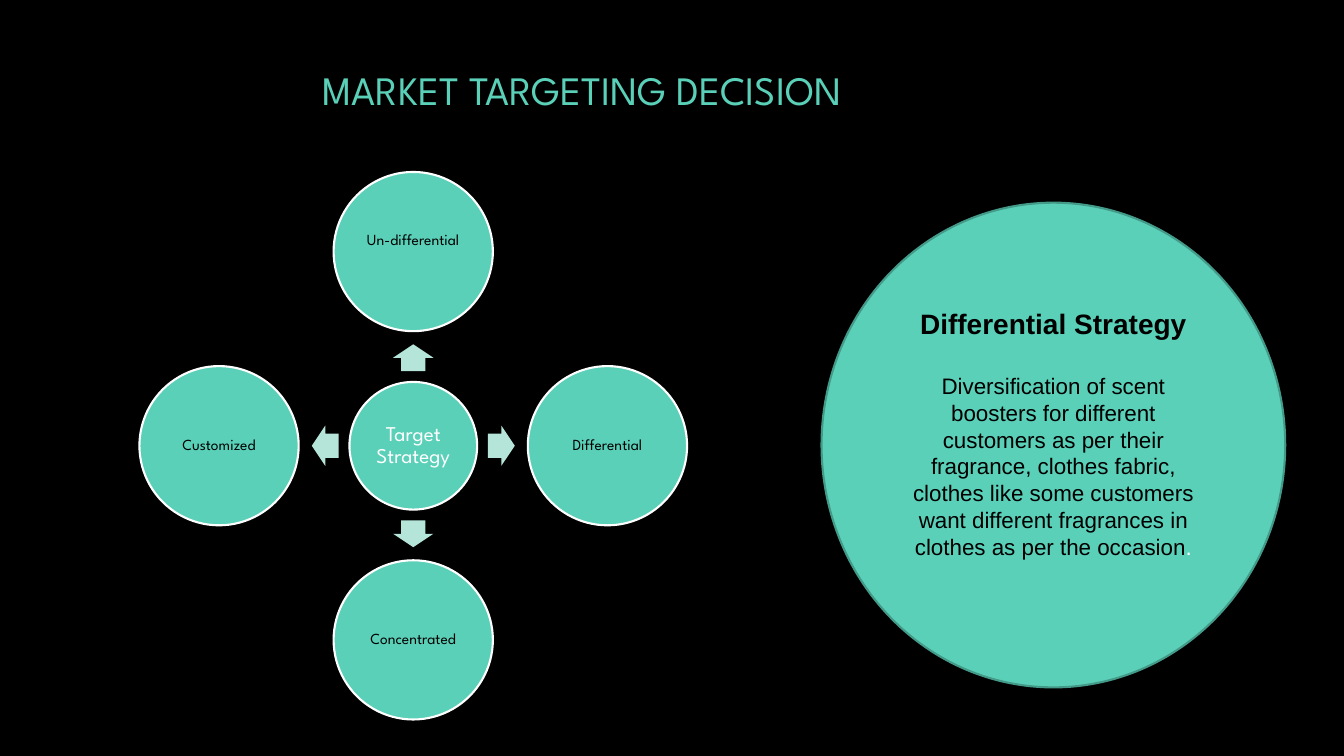
import math
from dataclasses import dataclass

import pptx
import pptx.util
from pptx.dml.color import RGBColor
from pptx.enum.shapes import MSO_SHAPE
from pptx.enum.text import MSO_ANCHOR, PP_ALIGN
from pptx.shapes.autoshape import Shape
from pptx.slide import Slide
from pptx.text.text import TextFrame

BLACK = RGBColor(0x00, 0x00, 0x00)
WHITE = RGBColor(0xFF, 0xFF, 0xFF)
TEAL = RGBColor(0x5A, 0xD0, 0xB8)
DARK_TEAL = RGBColor(0x43, 0x9A, 0x88)
PALE_TEAL = RGBColor(0xB5, 0xE4, 0xD8)

DISPLAY_FONT = "League Spartan"
BODY_FONT = "Arial"

# The slide is a grid of 40 columns with square cells; lengths below are in cells
SLIDE_WIDTH = pptx.util.Inches(13.33)
SLIDE_HEIGHT = pptx.util.Inches(7.5)
COLUMNS = 40
CELL = SLIDE_WIDTH / COLUMNS

HUB_X, HUB_Y = 12.3, 13.27
HUB_SIZE = 3.8
OPTION_SIZE = 4.74
OPTION_DISTANCE = 5.78
ARROW_WIDTH, ARROW_HEIGHT = 0.8, 1.2
ARROW_DISTANCE = 2.62


@dataclass
class Option:
    """A strategy around the hub, in the direction (step_x, step_y)."""
    name: str
    step_x: int
    step_y: int
    lift: float = 0.0


OPTIONS = [
    Option("Un-differential", 0, -1, lift=0.66),
    Option("Differential", 1, 0),
    Option("Concentrated", 0, 1),
    Option("Customized", -1, 0),
]


def cells(count: float) -> int:
    return round(count * CELL)


def set_frame(frame: TextFrame, inset: float, bottom: float) -> None:
    frame.word_wrap = True
    frame.vertical_anchor = MSO_ANCHOR.MIDDLE
    frame.margin_left = frame.margin_right = frame.margin_top = cells(inset)
    frame.margin_bottom = cells(bottom)


def add_text(frame: TextFrame, text: str, *, size: float, color: RGBColor,
             font: str = DISPLAY_FONT, bold: bool = False,
             align: PP_ALIGN = PP_ALIGN.CENTER, line_spacing: float = 1.0,
             space_before: float = 0, same_paragraph: bool = False) -> None:
    """Write text in the empty first paragraph, a new one, or the last one."""
    paragraph = frame.paragraphs[-1]
    if paragraph.runs and not same_paragraph:
        paragraph = frame.add_paragraph()
    if not same_paragraph:
        paragraph.alignment = align
        paragraph.line_spacing = line_spacing
        if space_before:
            paragraph.space_before = pptx.util.Pt(space_before)
    run = paragraph.add_run()
    run.text = text
    run.font.name = font
    run.font.size = pptx.util.Pt(size)
    run.font.bold = bold
    run.font.color.rgb = color


def add_centred_shape(slide: Slide, kind: MSO_SHAPE, x: float, y: float,
                      width: float, height: float, fill: RGBColor,
                      line: RGBColor | None = None) -> Shape:
    shape = slide.shapes.add_shape(kind, cells(x - width / 2), cells(y - height / 2),
                                   cells(width), cells(height))
    shape.shadow.inherit = False
    shape.fill.solid()
    shape.fill.fore_color.rgb = fill
    if line is None:
        shape.line.fill.background()
    else:
        shape.line.color.rgb = line
        shape.line.width = pptx.util.Pt(1.5)
    return shape


def add_labelled_circle(slide: Slide, x: float, y: float, diameter: float, label: str,
                        size: float, color: RGBColor, lift: float = 0.0) -> None:
    circle = add_centred_shape(slide, MSO_SHAPE.OVAL, x, y, diameter, diameter, TEAL, WHITE)
    set_frame(circle.text_frame, 0.06, 0.06 + lift)
    add_text(circle.text_frame, label, size=size, color=color, line_spacing=0.9)


def add_option(slide: Slide, option: Option) -> None:
    arrow = add_centred_shape(slide, MSO_SHAPE.RIGHT_ARROW,
                              HUB_X + option.step_x * ARROW_DISTANCE,
                              HUB_Y + option.step_y * ARROW_DISTANCE,
                              ARROW_WIDTH, ARROW_HEIGHT, PALE_TEAL)
    arrow.adjustments[0] = 0.6
    arrow.adjustments[1] = 0.5
    arrow.rotation = math.degrees(math.atan2(option.step_y, option.step_x)) % 360
    add_labelled_circle(slide, HUB_X + option.step_x * OPTION_DISTANCE,
                        HUB_Y + option.step_y * OPTION_DISTANCE,
                        OPTION_SIZE, option.name, 11, BLACK, option.lift)


def main() -> None:
    presentation = pptx.Presentation()
    presentation.slide_width = SLIDE_WIDTH
    presentation.slide_height = SLIDE_HEIGHT
    slide = presentation.slides.add_slide(presentation.slide_layouts[6])
    slide.background.fill.solid()
    slide.background.fill.fore_color.rgb = BLACK

    # Title
    title = slide.shapes.add_textbox(cells(9.3), cells(1.08), cells(18.57), cells(3))
    set_frame(title.text_frame, 0.3, 0.15)
    add_text(title.text_frame, "MARKET TARGETING DECISION", size=28.8, color=TEAL,
             align=PP_ALIGN.LEFT)

    # Hub and the strategies around it
    add_labelled_circle(slide, HUB_X, HUB_Y, HUB_SIZE, "Target Strategy", 15, WHITE)
    for option in OPTIONS:
        add_option(slide, option)

    # Chosen strategy
    choice = add_centred_shape(slide, MSO_SHAPE.OVAL, 31.35, 13.25, 13.8, 14.43,
                               TEAL, DARK_TEAL)
    frame = choice.text_frame
    set_frame(frame, 0.3, 1.01)
    add_text(frame, "Differential Strategy", size=20, color=BLACK, font=BODY_FONT, bold=True)
    add_text(frame, "Diversification of scent boosters for different customers as per "
             "their fragrance, clothes fabric, clothes like some customers want "
             "different fragrances in clothes as per the occasion",
             size=16, color=BLACK, font=BODY_FONT, space_before=23)
    add_text(frame, ".", size=16, color=WHITE, font=BODY_FONT, same_paragraph=True)

    presentation.save("out.pptx")


if __name__ == "__main__":
    main()
